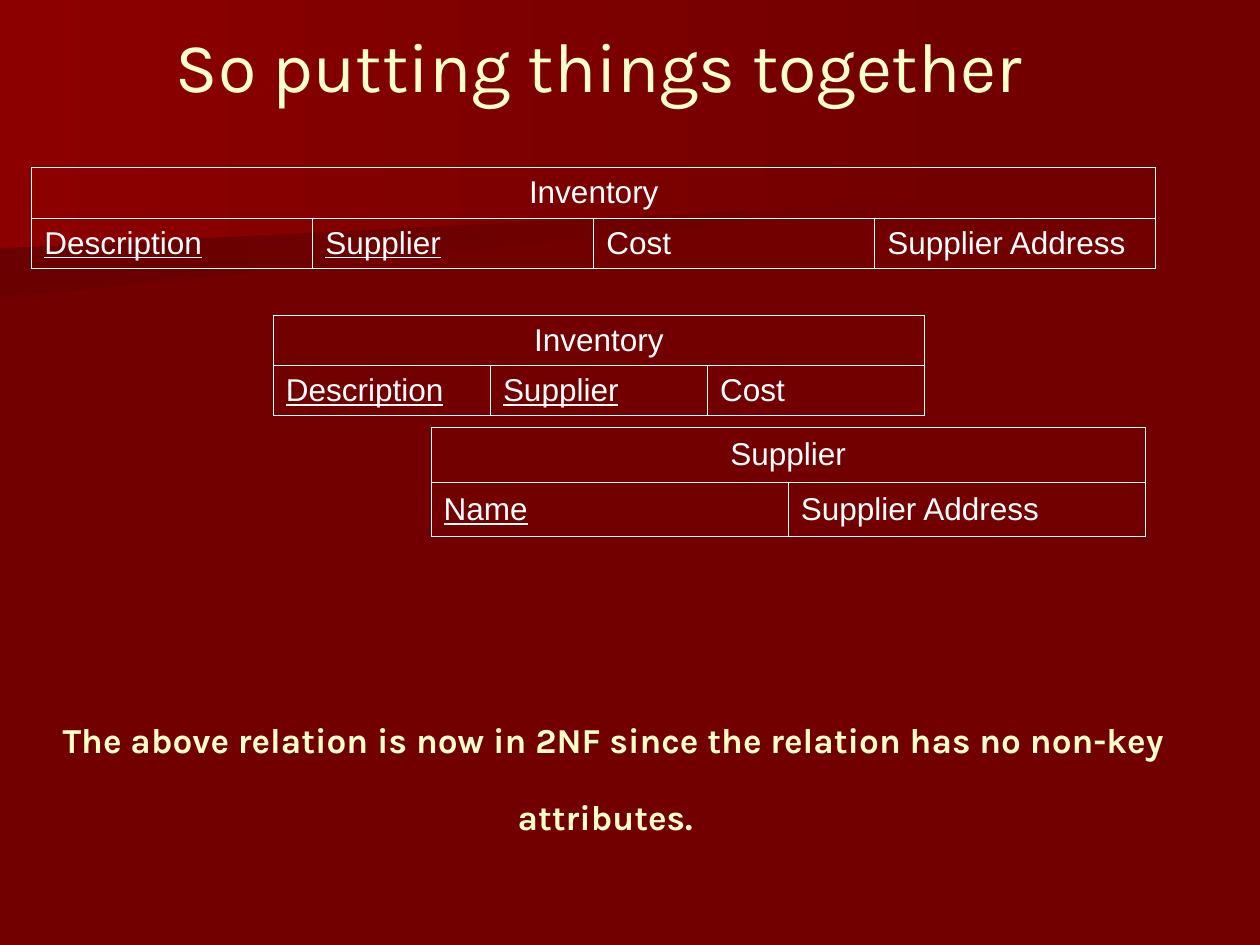
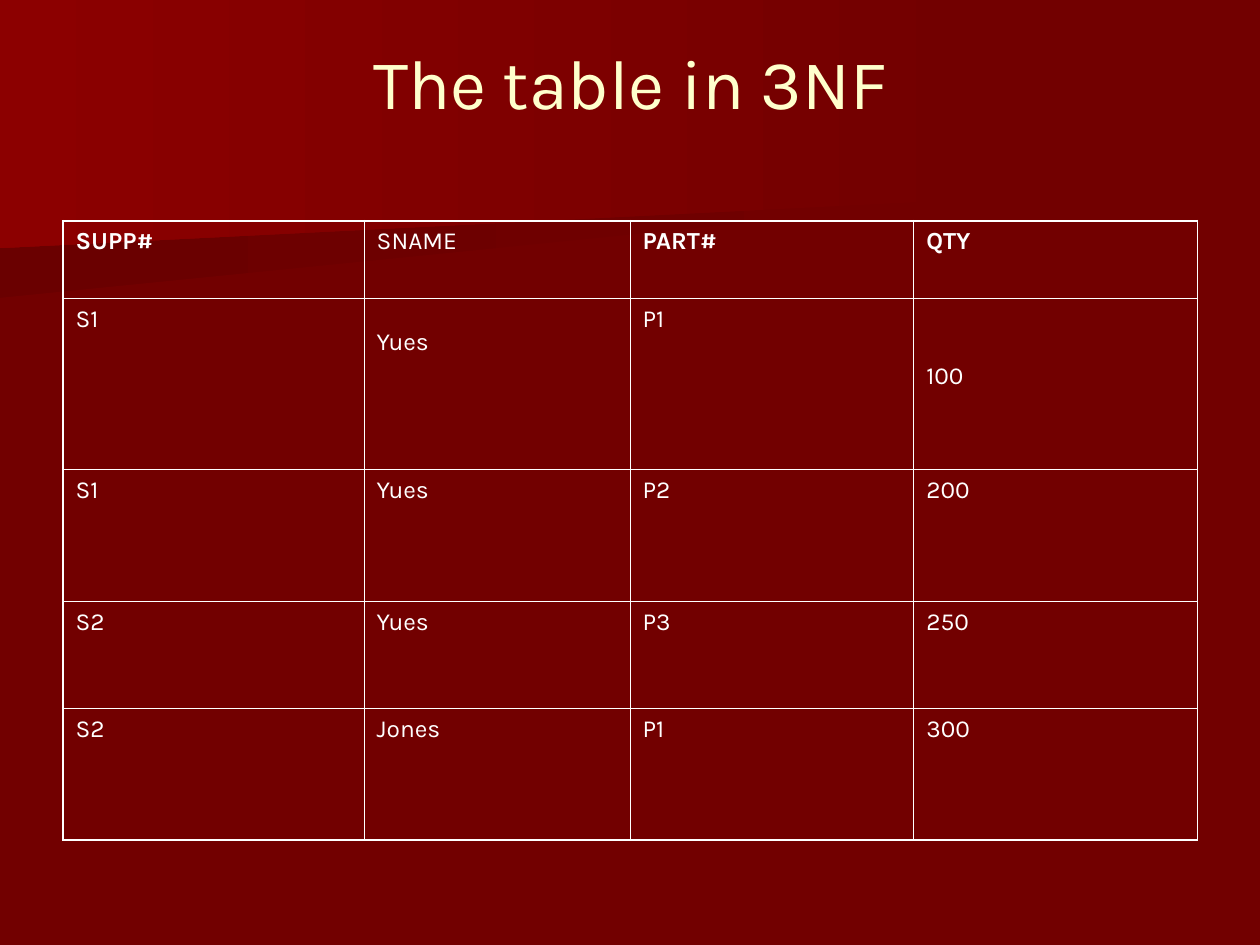
from lxml.etree import SubElement
from pptx import Presentation
from pptx.dml.color import RGBColor
from pptx.enum.text import MSO_ANCHOR as Anchor, MSO_AUTO_SIZE as AutoSize, PP_ALIGN as Align
from pptx.oxml.ns import qn
from pptx.util import Cm, Pt

# Shared look
MAROON, SHADE, GLOW = "720000", "6A0000", "8C0000"
CREAM, WHITE = "FFFFCC", "FFFFFF"
HEADING_FONT, SCHEMA_FONT = "Karla", "Arial"
THIN, THICK = 0.45, 1.08

# Background bands: outline in cm, colour reached at the left edge
BANDS = [
    ([(19.76, 3.89), (0, 5.51), (0, 2.57), (19.79, 2.57)], SHADE),
    ([(20.12, 4.11), (0, 5.28), (0, 0), (20.12, 0)], GLOW),
]

# Relations: name, box in cm, key attributes, other attributes
RELATIONS = [
    ("Inventory", (0.64, 3.38, 22.66, 2.03),
     ["Description", "Supplier"], ["Cost", "Supplier Address"]),
    ("Inventory", (5.51, 6.35, 13.13, 2.03), ["Description", "Supplier"], ["Cost"]),
    ("Supplier", (8.69, 8.61, 14.4, 2.21), ["Name"], ["Supplier Address"]),
]

SUPPLIES = [
    ["SUPP#", "SNAME", "PART#", "QTY"],
    ["S1", "Yues", "P1", "100"],
    ["S1", "Yues", "P2", "200"],
    ["S2", "Yues", "P3", "250"],
    ["S2", "Jones", "P1", "300"],
]
SUPPLY_WIDTHS = [6.07, 5.36, 5.72, 5.72]
SUPPLY_HEIGHTS = [1.57, 3.45, 2.65, 2.16, 2.65]
LOWERED = {(1, 1): 0.59, (1, 3): 1.27}  # top margins of the lowered entries


def rgb(code):
    return RGBColor.from_string(code)


def cm_box(box):
    return [Cm(length) for length in box]


def write(paragraph, text, size=18, font=HEADING_FONT, color=WHITE,
          bold=False, underline=False, align=Align.LEFT):
    """Append one formatted run to the paragraph."""
    paragraph.alignment = align
    run = paragraph.add_run()
    run.text = text
    run.font.size, run.font.name = Pt(size), font
    run.font.bold, run.font.underline = bold, underline
    run.font.color.rgb = rgb(color)


def centre_frame(frame):
    frame.word_wrap = True
    frame.auto_size = AutoSize.NONE
    frame.vertical_anchor = Anchor.MIDDLE
    return frame.paragraphs[0]


def add_backdrop(master, slide):
    """Fill the master and move the gradient bands behind its placeholders."""
    master.background.fill.solid()
    master.background.fill.fore_color.rgb = rgb(MAROON)
    shape_tree = master.element.cSld.spTree
    for depth, (outline, edge_color) in enumerate(BANDS):
        builder = slide.shapes.build_freeform(*outline[0], scale=Cm(1))
        builder.add_line_segments(outline[1:], close=True)
        band = builder.convert_to_shape()
        band.shadow.inherit = False
        band.line.fill.background()
        band.fill.gradient()
        band.fill.gradient_angle = 180
        for stop, color in zip(band.fill.gradient_stops, (MAROON, edge_color)):
            stop.color.rgb = rgb(color)
        shape_tree.insert(2 + depth, band.element)


def add_titled_slide(deck, title, box):
    slide = deck.slides.add_slide(deck.slide_layouts[5])
    heading = slide.shapes.title
    heading.left, heading.top, heading.width, heading.height = cm_box(box)
    write(centre_frame(heading.text_frame), title, size=40, color=CREAM, align=Align.CENTER)
    return slide


def add_grid(slide, position, widths, heights, outer=THIN):
    """Add an unfilled table with thin rules and the given outer border."""
    left, top = position
    rows, columns = len(heights), len(widths)
    table = slide.shapes.add_table(
        rows, columns, *cm_box((left, top, sum(widths), sum(heights)))).table
    table.first_row = table.horz_banding = False
    for column, width in zip(table.columns, widths):
        column.width = Cm(width)
    for row, height in zip(table.rows, heights):
        row.height = Cm(height)
    for r in range(rows):
        for c in range(columns):
            cell = table.cell(r, c)
            on_edge = {"lnL": c == 0, "lnR": c == columns - 1,
                       "lnT": r == 0, "lnB": r == rows - 1}
            properties = cell._tc.get_or_add_tcPr()
            for side, is_outer in on_edge.items():
                width = Pt(outer if is_outer else THIN)
                border = SubElement(properties, qn(f"a:{side}"), w=str(int(width)))
                paint = SubElement(border, qn("a:solidFill"))
                SubElement(paint, qn("a:srgbClr"), val=WHITE)
            cell.fill.background()
    return table


def add_relation(slide, name, box, keys, others):
    """Draw a relation: its name above its attributes, keys underlined."""
    left, top, width, height = box
    attributes = keys + others
    count = len(attributes)
    table = add_grid(slide, (left, top), [width / count] * count, [height / 2] * 2)
    header = table.cell(0, 0)
    header.merge(table.cell(0, count - 1))
    header.vertical_anchor = Anchor.MIDDLE
    write(header.text_frame.paragraphs[0], name, font=SCHEMA_FONT, align=Align.CENTER)
    for c, attribute in enumerate(attributes):
        cell = table.cell(1, c)
        cell.vertical_anchor = Anchor.MIDDLE
        write(cell.text_frame.paragraphs[0], attribute, font=SCHEMA_FONT,
              underline=c < len(keys))


def add_conclusion(slide, box):
    frame = slide.shapes.add_textbox(*cm_box(box)).text_frame
    paragraph = centre_frame(frame)
    style = dict(color=CREAM, align=Align.CENTER)
    write(paragraph, "The above relation is now in 2NF since the relation "
          "has no non-key attributes.", size=20, bold=True, **style)
    write(paragraph, " ", size=40, **style)  # opens up the last line


def add_supplies(slide, position):
    table = add_grid(slide, position, SUPPLY_WIDTHS, SUPPLY_HEIGHTS, outer=THICK)
    for r, record in enumerate(SUPPLIES):
        for c, entry in enumerate(record):
            cell = table.cell(r, c)
            if (r, c) in LOWERED:
                cell.margin_top = Cm(LOWERED[r, c])
            write(cell.text_frame.paragraphs[0], entry, size=14,
                  bold=r == 0 and entry != "SNAME")


def main():
    deck = Presentation()
    deck.slide_width, deck.slide_height = Cm(25.4), Cm(19.05)

    # Relations in second normal form
    second_form = add_titled_slide(deck, "So putting things together",
                                   (0.64, 0.43, 22.86, 1.73))
    add_backdrop(deck.slide_master, second_form)
    for relation in RELATIONS:
        add_relation(second_form, *relation)
    add_conclusion(second_form, (0.84, 14.17, 23.06, 3.18))

    # Records in third normal form
    third_form = add_titled_slide(deck, "The table in 3NF", (1.27, 0.76, 22.86, 1.78))
    add_supplies(third_form, (1.27, 4.45))

    deck.save("out.pptx")


if __name__ == "__main__":
    main()
